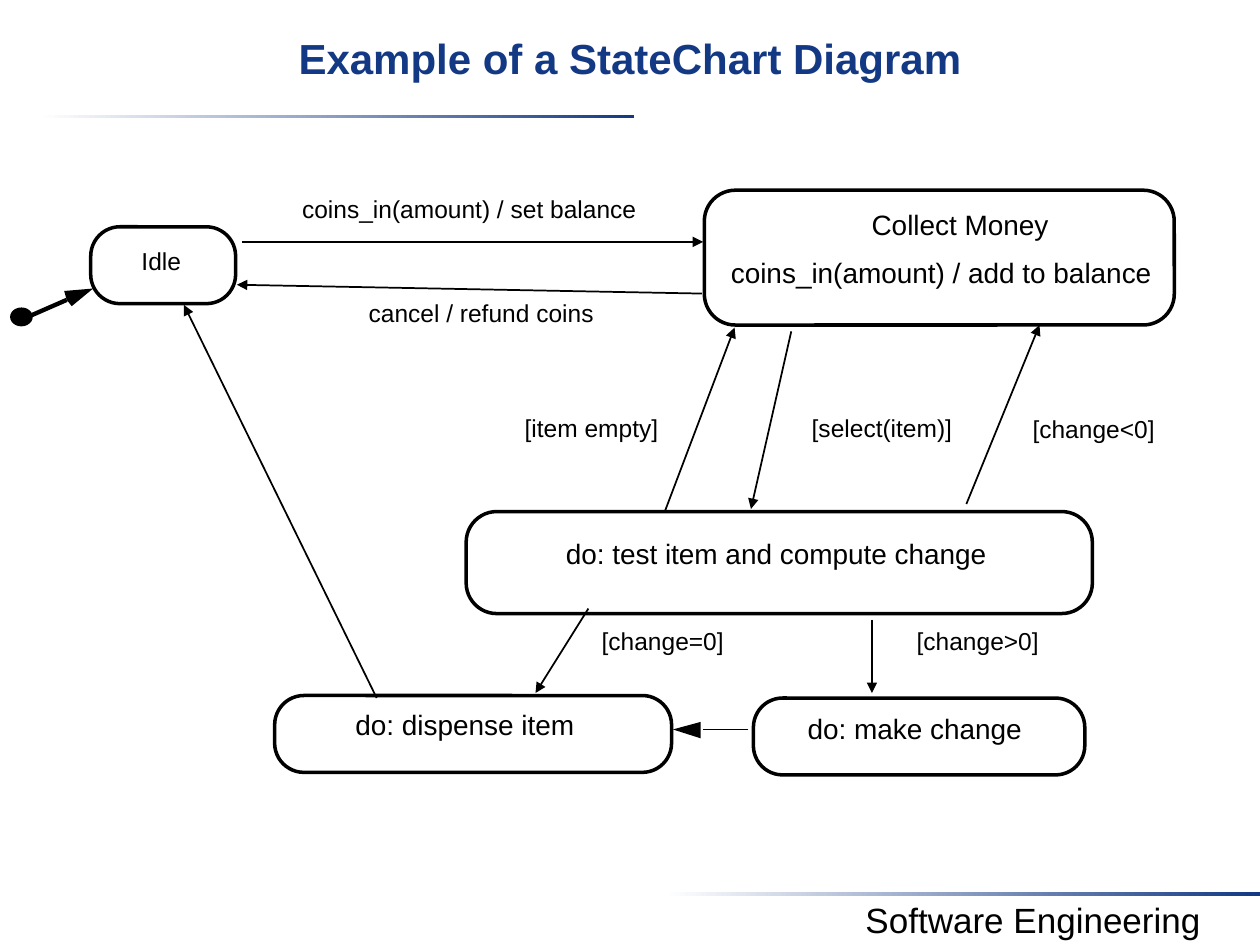
from pptx import Presentation
from pptx.dml.color import RGBColor
from pptx.enum.shapes import MSO_CONNECTOR, MSO_SHAPE
from pptx.enum.text import MSO_ANCHOR, PP_ALIGN
from pptx.oxml.ns import qn
from pptx.util import Inches, Pt
from lxml.etree import SubElement

COLORS = {"navy": "133984", "black": "000000", "white": "FFFFFF"}
RGB = {name: RGBColor.from_string(value) for name, value in COLORS.items()}

prs = Presentation()
prs.slide_width, prs.slide_height = Inches(10), Inches(7.5)
s = prs.slides.add_slide(prs.slide_layouts[6])


def add_text(text, x, y, w, h, size, color="black", bold=False, wrap=False):
    tf = s.shapes.add_textbox(Inches(x), Inches(y), Inches(w), Inches(h)).text_frame
    tf.word_wrap = wrap
    tf.vertical_anchor = MSO_ANCHOR.TOP
    p = tf.paragraphs[0]
    p.alignment = PP_ALIGN.CENTER
    r = p.add_run()
    r.text = text
    r.font.name, r.font.size, r.font.bold = "Arial", Pt(size), bold
    r.font.color.rgb = RGB[color]


def add_line(x1, y1, x2, y2, width=1, arrow=True):
    line = s.shapes.add_connector(MSO_CONNECTOR.STRAIGHT, Inches(x1), Inches(y1),
                                  Inches(x2), Inches(y2))
    line.line.color.rgb = RGB["black"]
    line.line.width = Pt(width)
    if arrow:
        SubElement(line.line._get_or_add_ln(), qn("a:tailEnd"), type="triangle")
    SubElement(line._element.spPr, qn("a:effectLst"))


# Fading rules, title and footer
for x, y in [(0.31, 0.91), (5.28, 7.08)]:
    rule = s.shapes.add_shape(MSO_SHAPE.RECTANGLE, Inches(x), Inches(y),
                              Inches(4.72), Inches(0.03))
    rule.shadow.inherit = False
    rule.line.fill.background()
    rule.fill.gradient()
    rule.fill.gradient_angle = 0
    for stop, color in zip(rule.fill.gradient_stops, ("white", "navy")):
        stop.color.rgb = RGB[color]

add_text("Software Engineering", 6.4, 7.08, 3.6, 0.44, 20, wrap=True)
add_text("Example of a StateChart Diagram", 0, 0.21, 10, 0.74, 24, "navy", True, True)

# States: left, top, width, height, corner adjustment
states = [
    (0.72, 1.8, 1.15, 0.61, 0.38),
    (5.59, 1.51, 3.73, 1.07, 0.23),
    (3.7, 4.06, 4.97, 0.81, 0.3),
    (2.18, 5.52, 3.15, 0.61, 0.38),
    (5.98, 5.54, 2.63, 0.61, 0.38),
]
for x, y, w, h, corner in states:
    state = s.shapes.add_shape(MSO_SHAPE.ROUNDED_RECTANGLE, Inches(x), Inches(y),
                               Inches(w), Inches(h))
    state.adjustments[0] = corner
    state.shadow.inherit = False
    state.fill.background()
    state.line.color.rgb = RGB["black"]
    state.line.width = Pt(2)

state_texts = [
    ("Collect Money", 6.81, 1.6, 1.62),
    ("coins_in(amount) / add to balance", 5.68, 1.98, 3.58),
    ("do: test item and compute change", 4.37, 4.21, 3.58),
    ("do: dispense item", 2.71, 5.57, 1.96),
    ("do: make change", 6.3, 5.6, 1.92),
]
for text, x, y, w in state_texts:
    add_text(text, x, y, w, 0.37, 16)

small_texts = [
    ("Idle", 1.02, 1.9, 0.52),
    ("coins_in(amount) / set balance", 2.29, 1.49, 2.87),
    ("cancel / refund coins", 2.82, 2.32, 2),
    ("[item empty]", 4.06, 3.23, 1.27),
    ("[select(item)]", 6.34, 3.23, 1.32),
    ("[change<0]", 8.09, 3.24, 1.18),
    ("[change=0]", 4.67, 4.92, 1.18),
    ("[change>0]", 7.17, 4.92, 1.18),
]
for text, x, y, w in small_texts:
    add_text(text, x, y, w, 0.33, 14)

# Transitions
transitions = [
    (1.92, 1.92, 5.58, 1.92),
    (5.57, 2.33, 1.88, 2.26),
    (5.28, 4.05, 5.83, 2.6),
    (6.28, 2.63, 5.96, 4.04),
    (7.67, 4, 8.25, 2.58),
    (4.67, 4.83, 4.25, 5.5),
    (6.92, 4.92, 6.92, 5.5),
    (2.99, 5.54, 1.46, 2.42),
]
for ends in transitions:
    add_line(*ends)

# Initial state, and the two transitions with long arrowheads
start = s.shapes.add_shape(MSO_SHAPE.OVAL, Inches(0.08), Inches(2.44),
                           Inches(0.18), Inches(0.15))
add_line(0.21, 2.52, 0.53, 2.38, width=2.5, arrow=False)
add_line(5.94, 5.79, 5.58, 5.79, arrow=False)

solids = [start]
for tip, *rest in [
    [(0.74, 2.29), (0.57, 2.43), (0.53, 2.38), (0.51, 2.31)],
    [(5.34, 5.79), (5.56, 5.73), (5.56, 5.86)],
]:
    builder = s.shapes.build_freeform(Inches(tip[0]), Inches(tip[1]))
    builder.add_line_segments([(Inches(x), Inches(y)) for x, y in rest], close=True)
    solids.append(builder.convert_to_shape())

for solid in solids:
    solid.shadow.inherit = False
    solid.fill.solid()
    solid.fill.fore_color.rgb = RGB["black"]
    solid.line.fill.background()

prs.save("out.pptx")
